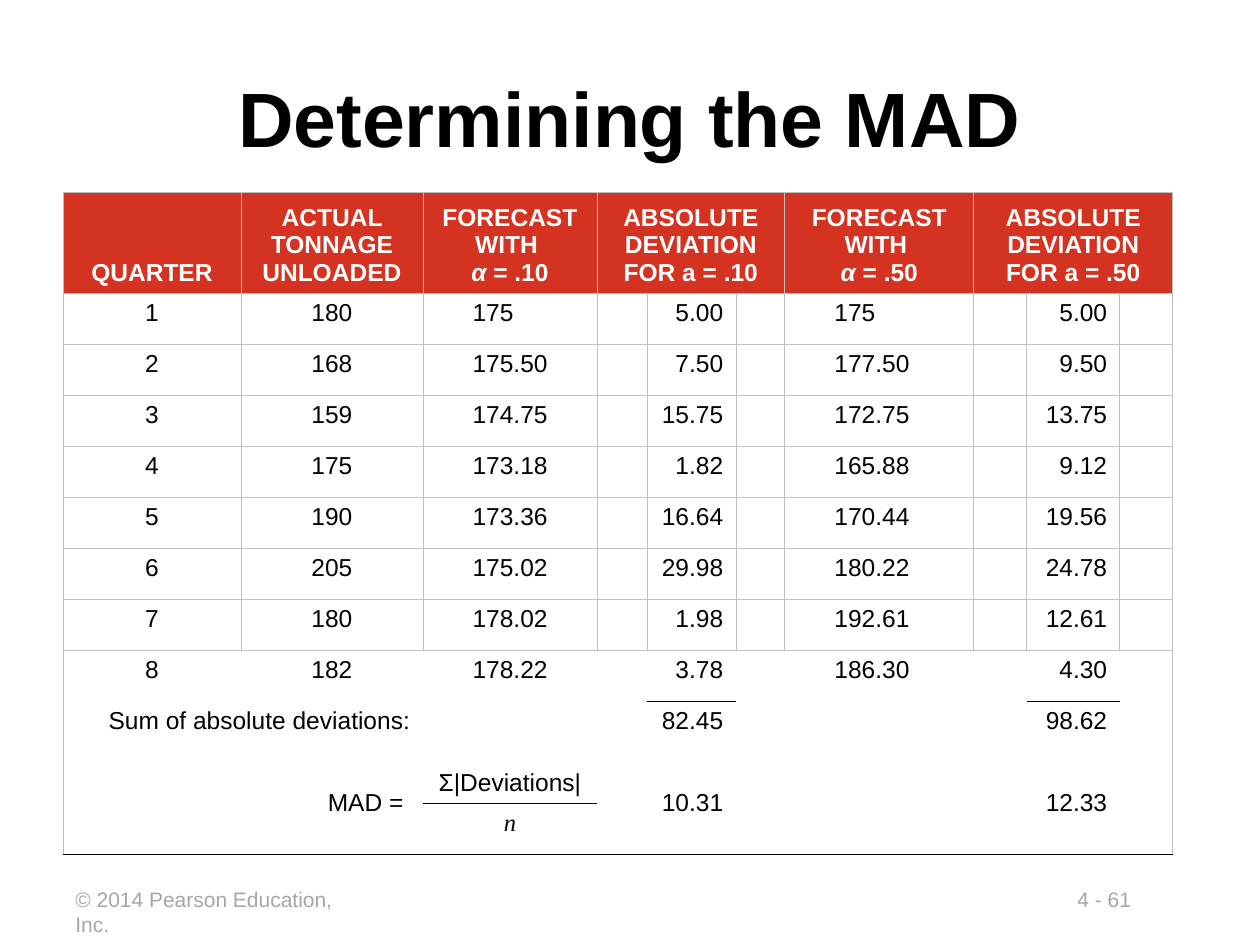
"""Build the slide that works out the MAD for two smoothing constants."""
from lxml.etree import SubElement as Sub
from pptx import Presentation
from pptx.dml.color import RGBColor as RGB
from pptx.enum.text import MSO_ANCHOR as Anchor, PP_ALIGN as Align
from pptx.oxml.ns import qn
from pptx.util import Pt

PX = 914400 / 126
BLACK, WHITE = RGB(0, 0, 0), RGB(255, 255, 255)
RED, GRAY, RULE = RGB(0xD3, 0x33, 0x20), RGB(0xA6, 0xA6, 0xA6), RGB(0xBF, 0xBF, 0xBF)


def px(n):
    return round(n * PX)


def put(para, text, size=14, color=BLACK, bold=False, slant=False, face="Arial"):
    run = para.add_run()
    run.text = text
    font = run.font
    font.name, font.size, font.bold, font.italic = face, Pt(size), bold, slant
    font.color.rgb = color


deck = Presentation()
deck.slide_width, deck.slide_height = px(1260), px(945)
slide = deck.slides.add_slide(deck.slide_layouts[6])

texts = [
    ("Determining the MAD", (63, 38, 1134, 157), 44, BLACK, True, Align.CENTER),
    ("© 2014 Pearson Education, Inc.", (63, 880, 321, 38), 12, GRAY, False, Align.LEFT),
    ("4 - 61", (1065, 880, 151, 38), 12, GRAY, False, Align.LEFT),
]
for text, spot, size, color, bold, align in texts:
    frame = slide.shapes.add_textbox(*map(px, spot)).text_frame
    frame.word_wrap = True
    frame.vertical_anchor = Anchor.MIDDLE if bold else Anchor.TOP
    frame.paragraphs[0].alignment = align
    put(frame.paragraphs[0], text, size, color, bold)

widths = [178, 182, 174, 50, 89, 49, 189, 53, 93, 53]
heights = [101] + [51] * 11
table = slide.shapes.add_table(
    len(heights), len(widths), px(63), px(192), px(sum(widths)), px(sum(heights))
).table
for col, width in zip(table.columns, widths):
    col.width = px(width)
for row, height in zip(table.rows, heights):
    row.height = px(height)

merges = [(0, 3, 0, 5), (0, 7, 0, 9), (9, 0, 9, 1), (10, 0, 11, 1),
          (10, 4, 11, 4), (10, 8, 11, 8), (11, 5, 11, 6)]
for top, left, low, right in merges:
    table.cell(top, left).merge(table.cell(low, right))

bars = {(8, 4), (8, 8), (10, 2)}
ends = {(10, 0), (10, 4), (10, 8)}
for r in range(len(heights)):
    for c in range(len(widths)):
        cell = table.cell(r, c)
        grid = r < 8
        sides = {
            "L": RULE if grid or c == 0 else None,
            "R": RULE if grid or c == 9 else None,
            "T": BLACK if (r - 1, c) in bars else RULE if r <= 8 else None,
            "B": BLACK if r == 11 or (r, c) in bars | ends else RULE if grid else None,
        }
        props = cell._tc.get_or_add_tcPr()
        for side, color in sides.items():
            line = Sub(props, qn(f"a:ln{side}"), w="5715")
            if color is None:
                Sub(line, qn("a:noFill"))
            else:
                fill = Sub(line, qn("a:solidFill"))
                Sub(fill, qn("a:srgbClr"), val=str(color))
        if r == 0:
            cell.fill.solid()
            cell.fill.fore_color.rgb = RED
            cell.vertical_anchor = Anchor.BOTTOM
        else:
            cell.fill.background()
        if c in (3, 5, 7, 9) and r:
            cell.margin_top = cell.margin_bottom = 0

heads = {0: "QUARTER", 1: "ACTUAL TONNAGE UNLOADED",
         3: "ABSOLUTE DEVIATION FOR a = .10", 7: "ABSOLUTE DEVIATION FOR a = .50",
         2: "FORECAST WITH ", 6: "FORECAST WITH "}
rates = {2: " = .10", 6: " = .50"}
for c, text in heads.items():
    frame = table.cell(0, c).text_frame
    frame.paragraphs[0].alignment = Align.CENTER
    put(frame.paragraphs[0], text, color=WHITE, bold=True)
    if c in rates:
        para = frame.add_paragraph()
        para.alignment = Align.CENTER
        put(para, "α", color=WHITE, bold=True, slant=True)
        put(para, rates[c], color=WHITE, bold=True)

data = [
    ("1", "180", "175", "5.00", "175", "5.00"),
    ("2", "168", "175.50", "7.50", "177.50", "9.50"),
    ("3", "159", "174.75", "15.75", "172.75", "13.75"),
    ("4", "175", "173.18", "1.82", "165.88", "9.12"),
    ("5", "190", "173.36", "16.64", "170.44", "19.56"),
    ("6", "205", "175.02", "29.98", "180.22", "24.78"),
    ("7", "180", "178.02", "1.98", "192.61", "12.61"),
    ("8", "182", "178.22", "3.78", "186.30", "4.30"),
]
slots = [(0, Align.CENTER), (1, Align.CENTER), (2, Align.LEFT),
         (4, Align.RIGHT), (6, Align.LEFT), (8, Align.RIGHT)]
for r, values in enumerate(data, 1):
    for (c, align), value in zip(slots, values):
        para = table.cell(r, c).text_frame.paragraphs[0]
        if align == Align.LEFT:
            tabs = Sub(para._p.get_or_add_pPr(), qn("a:tabLst"))
            Sub(tabs, qn("a:tab"), pos=str(px(37)), algn="l")
            value = "\t" + value
        para.alignment = align
        put(para, value)

totals = [
    (9, 0, "Sum of absolute deviations:", Align.RIGHT, Anchor.TOP),
    (9, 4, "82.45", Align.RIGHT, Anchor.TOP),
    (9, 8, "98.62", Align.RIGHT, Anchor.TOP),
    (10, 0, "MAD = ", Align.RIGHT, Anchor.MIDDLE),
    (10, 2, "Σ|Deviations|", Align.CENTER, Anchor.BOTTOM),
    (10, 4, "10.31", Align.RIGHT, Anchor.MIDDLE),
    (10, 8, "12.33", Align.RIGHT, Anchor.MIDDLE),
    (11, 2, "n", Align.CENTER, Anchor.TOP),
]
for r, c, text, align, anchor in totals:
    cell = table.cell(r, c)
    cell.vertical_anchor = anchor
    para = cell.text_frame.paragraphs[0]
    para.alignment = align
    sign = text == "n"
    put(para, text, slant=sign, face="Times New Roman" if sign else "Arial")

deck.save("out.pptx")
